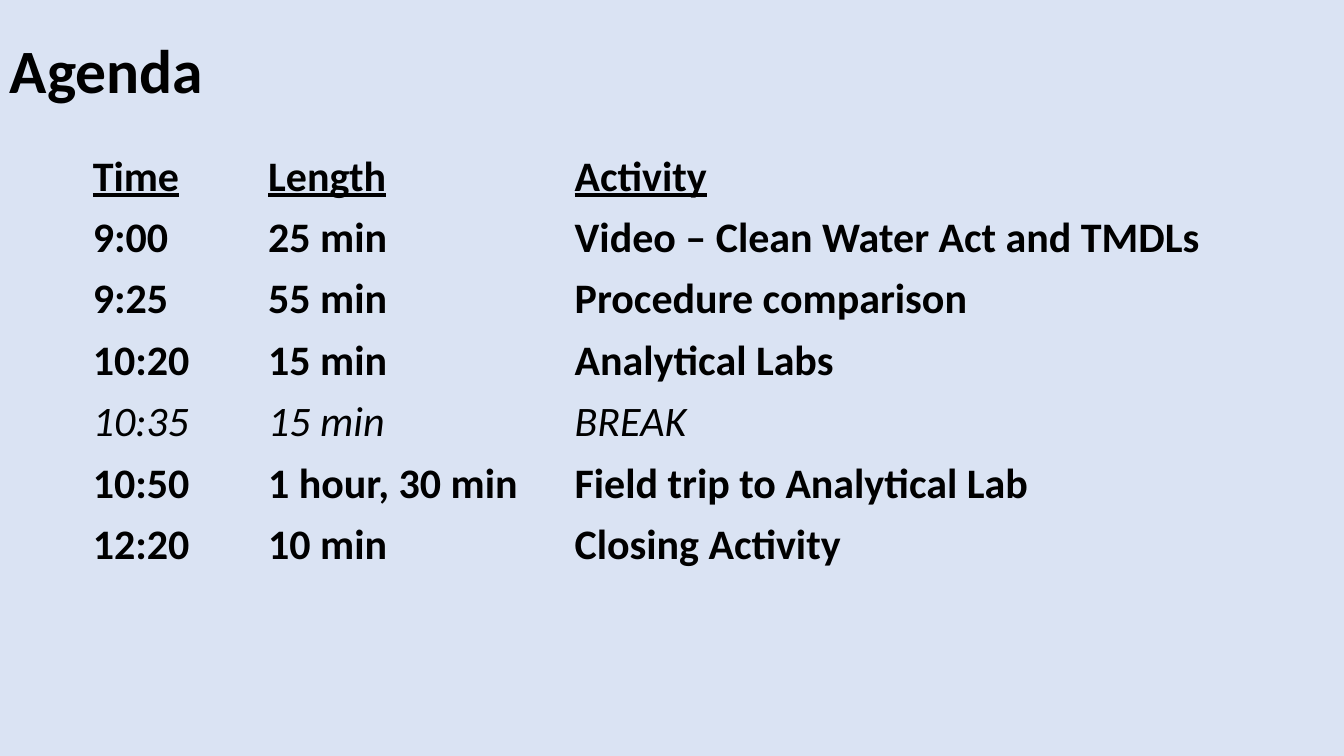
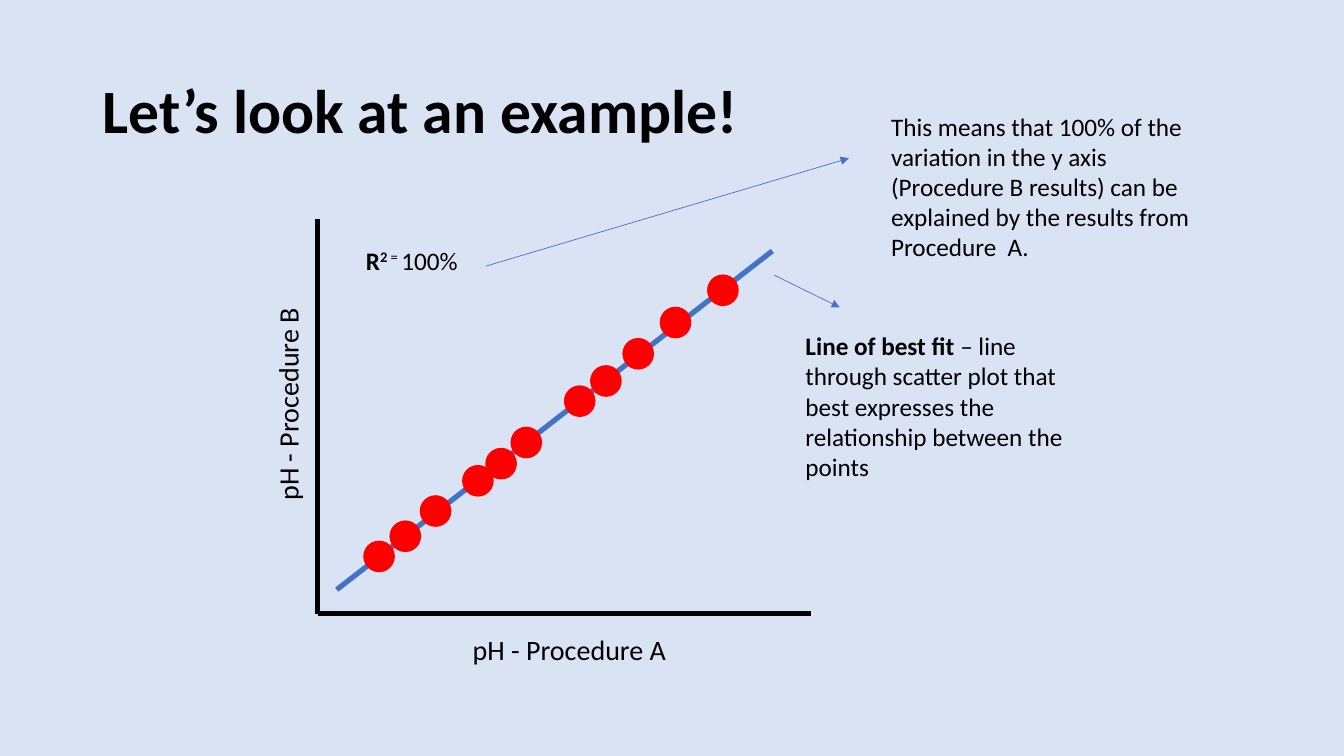
import pptx
import pptx.dml.color
import pptx.enum.shapes
import pptx.enum.text
import pptx.oxml
import pptx.oxml.ns
import pptx.util
from pptx.util import Inches

FONT = "Calibri"
BLACK, BLUE, RED, PALE = "000000", "4472C4", "FF0000", "DAE3F3"
NO_STYLE = "{2D5ABB26-0587-4C30-8999-92F81FD0307C}"

AGENDA = [
    ("Time", "Length", "Activity"),
    ("9:00", "25 min", "Video – Clean Water Act and TMDLs"),
    ("9:25", "55 min", "Procedure comparison"),
    ("10:20", "15 min", "Analytical Labs"),
    ("10:35", "15 min", "BREAK"),
    ("10:50", "1 hour, 30 min", "Field trip to Analytical Lab"),
    ("12:20", "10 min", "Closing Activity"),
]
# Dot centres, right of and above the origin of the axes
DOTS = [(0.61, 0.57), (0.87, 0.77), (1.17, 1.02), (1.59, 1.32),
        (1.82, 1.49), (2.07, 1.7), (2.6, 2.11), (2.86, 2.31),
        (3.18, 2.58), (3.55, 2.89), (4.02, 3.21)]


def rgb(color):
    return pptx.dml.color.RGBColor.from_string(color)


def add_run(p, text, size, baseline=None, **formats):
    r = p.add_run()
    r.text = text
    values = {"name": FONT, "size": pptx.util.Pt(size), **formats}
    for key, value in values.items():
        setattr(r.font, key, value)
    r.font.color.rgb = rgb(BLACK)
    if baseline:
        r.font._element.set("baseline", str(baseline * 1000))


def add_text(s, box, runs, size, wrap=True, rotation=0):
    """Each run is a text and a dict of its formats."""
    sp = s.shapes.add_textbox(*map(Inches, box))
    sp.rotation = rotation
    tf = sp.text_frame
    tf.word_wrap = wrap
    tf.auto_size = pptx.enum.text.MSO_AUTO_SIZE.SHAPE_TO_FIT_TEXT
    for text, formats in runs:
        add_run(tf.paragraphs[0], text, size, **formats)
    return tf


def add_title(s, left, top, text):
    tf = add_text(s, (left, top, 11.5, 1.45), [(text, {"bold": True})], 44)
    tf.auto_size = pptx.enum.text.MSO_AUTO_SIZE.NONE
    tf.vertical_anchor = pptx.enum.text.MSO_ANCHOR.MIDDLE
    tf.paragraphs[0].line_spacing = 0.9


def add_line(s, start, end, color, width, arrow=False):
    line = s.shapes.add_connector(
        pptx.enum.shapes.MSO_CONNECTOR.STRAIGHT, *map(Inches, (*start, *end)))
    line.line.color.rgb = rgb(color)
    line.line.width = pptx.util.Pt(width)
    if arrow:
        pptx.oxml.xmlchemy.OxmlElement  # noqa
        head = pptx.oxml.parse_xml(
            f'<a:tailEnd {pptx.oxml.ns.nsdecls("a")} type="triangle"/>')
        line.line._get_or_add_ln().append(head)
    line._element.spPr.append(
        pptx.oxml.parse_xml(f'<a:effectLst {pptx.oxml.ns.nsdecls("a")}/>'))


def add_dot(s, x, y, size=0.3):
    sp = s.shapes.add_shape(
        pptx.enum.shapes.MSO_SHAPE.OVAL,
        *map(Inches, (x - size / 2, y - size / 2, size, size)))
    sp.shadow.inherit = False
    sp.fill.solid()
    sp.fill.fore_color.rgb = rgb(RED)
    sp.line.color.rgb = rgb(RED)
    sp.line.width = pptx.util.Pt(1)


def add_agenda_table(s, left, top, widths, row_height):
    frame = s.shapes.add_table(
        len(AGENDA), len(widths),
        *map(Inches, (left, top, sum(widths), row_height * len(AGENDA))))
    table = frame.table
    table.first_row = table.horz_banding = False
    style = table._tbl.tblPr.find(pptx.oxml.ns.qn("a:tableStyleId"))
    style.text = NO_STYLE
    for column, width in zip(table.columns, widths):
        column.width = Inches(width)
    for i, row in enumerate(AGENDA):
        is_break = row[-1] == "BREAK"
        formats = {"bold": not is_break, "italic": is_break, "underline": i == 0}
        for j, text in enumerate(row):
            cell = table.cell(i, j)
            cell.fill.background()
            add_run(cell.text_frame.paragraphs[0], text, 30, **formats)


def add_scatter(s, left, top, width, height):
    bottom = top + height
    # Axes and line of best fit
    add_line(s, (left, top), (left, bottom), BLACK, 3.5)
    add_line(s, (left, bottom), (left + width, bottom), BLACK, 3.5)
    add_line(s, (left + 0.19, bottom - 0.24), (left + 4.51, bottom - 3.6),
             BLUE, 3.75)
    # Axis labels
    add_text(s, (left + 1.44, bottom + 0.14, 2.2, 0.44),
             [("pH - Procedure A", {})], 20, wrap=False)
    add_text(s, (left - 1.39, top + 1.58, 2.19, 0.44),
             [("pH - Procedure B", {})], 20, wrap=False, rotation=270)
    # Points
    for dx, dy in DOTS:
        add_dot(s, left + dx, bottom - dy)
    # Fit value
    add_text(s, (left + 0.38, top + 0.21, 1.21, 0.4),
             [("R", {"bold": True}), ("2 ", {"bold": True, "baseline": 30}),
              ("= ", {"baseline": 30}), ("100%", {})], 18, wrap=False)


def add_callout(s, box, runs, start, end):
    add_text(s, box, runs, 18)
    add_line(s, start, end, BLUE, 0.5, arrow=True)


def agenda_slide(s):
    add_title(s, 0, 0, "Agenda")
    add_agenda_table(s, 0.82, 1.45, (1.74, 3.04, 6.73), 0.6)


def example_slide(s):
    add_title(s, 0.92, 0.4, "Let’s look at an example!")
    add_scatter(s, 3.15, 2.17, 4.89, 3.92)
    add_callout(s, (7.89, 3.23, 2.79, 1.92),
                [("Line of best fit ", {"bold": True}),
                 ("– line through scatter plot that best expresses the "
                  "relationship between the points", {})],
                (7.68, 2.73), (8.33, 3.05))
    add_callout(s, (8.74, 1.05, 3.36, 1.92),
                [("This means that 100% of the variation in the y axis "
                  "(Procedure B results) can be explained by the results "
                  "from Procedure  A.", {})],
                (4.82, 2.64), (8.42, 1.57))


def main():
    prs = pptx.Presentation()
    prs.slide_width, prs.slide_height = Inches(13.33), Inches(7.5)
    # Shared background
    fill = prs.slide_master.background.fill
    fill.solid()
    fill.fore_color.rgb = rgb(PALE)
    for build in (agenda_slide, example_slide):
        build(prs.slides.add_slide(prs.slide_layouts[6]))
    prs.save("out.pptx")


if __name__ == "__main__":
    main()
